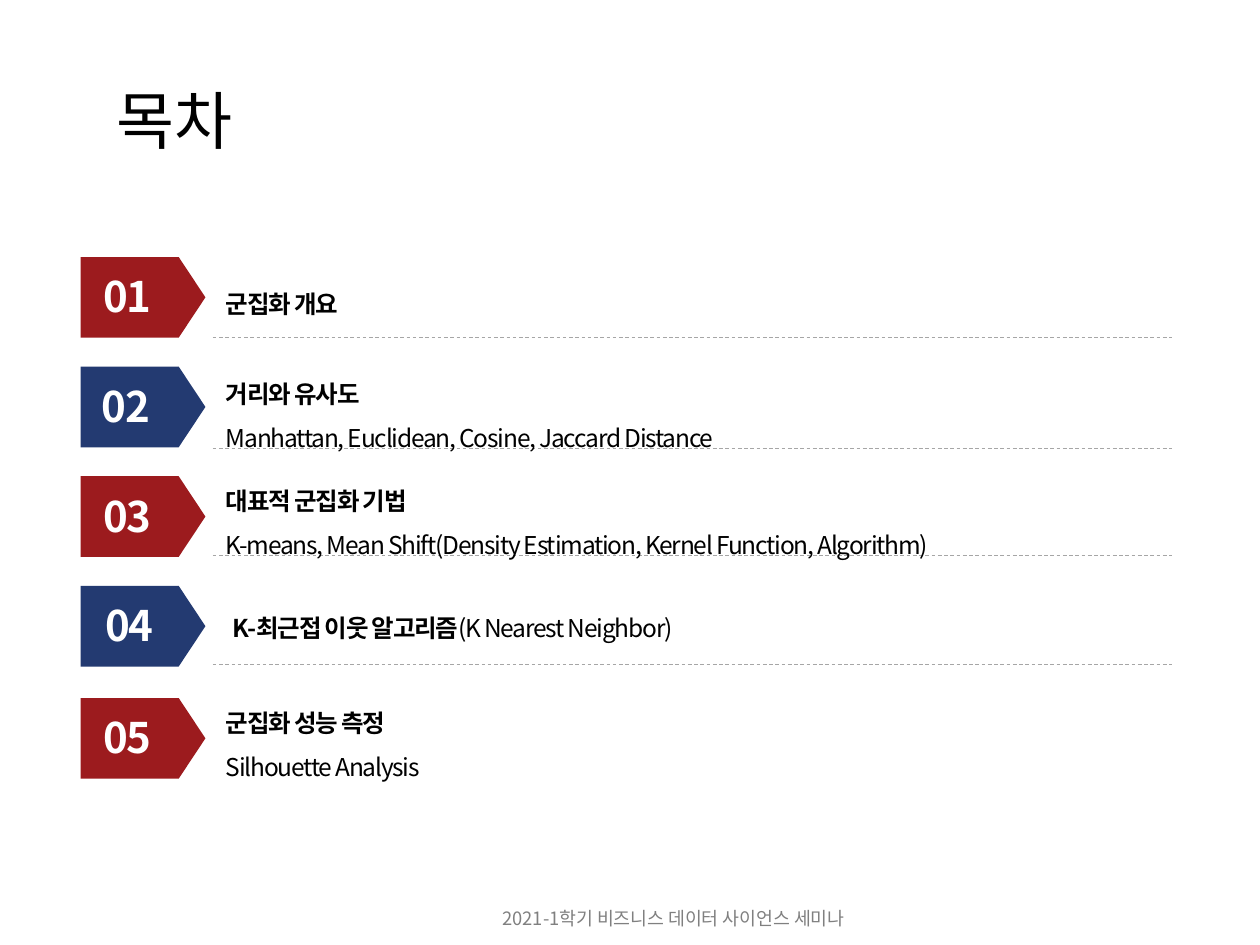
from pptx import Presentation, util as u
from pptx.dml.color import RGBColor
from pptx.enum import dml, shapes, text
from pptx.oxml.ns import qn
from lxml import etree

# Content
TITLE = "목차"
FOOTER = "2021-1학기 비즈니스 데이터 사이언스 세미나"
FONT = "Noto Sans CJK KR"
COLORS = {"red": "9C1B1E", "blue": "233A71", "rule": "A6A6A6",
          "black": "000000", "white": "FFFFFF", "grey": "808080"}

# Each paragraph is a list of (wording, bold) spans
CHAPTERS = [
    {"number": (0.69, 0.64), "box": (1.46, 2.13, 7.65, 0.45), "rule": 2.68,
     "lines": [[(" 군집화 개요", True)]]},
    {"number": (0.66, 0.68), "box": (1.46, 2.84, 7.65, 0.81), "rule": 3.56,
     "lines": [[(" 거리와 유사도", True)],
               [(" Manhattan, Euclidean, Cosine, Jaccard Distance", False)]]},
    {"number": (0.66, 0.70), "box": (1.46, 3.69, 7.84, 0.81), "rule": 4.41,
     "lines": [[(" 대표적 군집화 기법", True)],
               [(" K-means, Mean Shift(Density Estimation, Kernel Function, Algorithm)", False)]]},
    {"number": (0.67, 0.71), "box": (1.55, 4.70, 7.65, 0.41), "rule": 5.27,
     "lines": [[("K-최근접 이웃 알고리즘", True), ("(K Nearest Neighbor)", False)]]},
    {"number": (0.66, 0.70), "box": (1.46, 5.45, 7.84, 0.76), "rule": None,
     "lines": [[(" 군집화 성능 측정", True)], [(" Silhouette Analysis", False)]]},
]

# Grid, in inches
TAG_LEFT, TAG_WIDTH, TAG_HEIGHT = 0.64, 0.99, 0.64
FIRST_TOP, ROW_STEP, LAST_EXTRA = 2.04, 0.87, 0.02
NUMBER_INSET, NUMBER_HEIGHT = 0.06, 0.5
RULE_LEFT, RULE_RIGHT = 1.69, 9.3

deck = Presentation()
deck.slide_width, deck.slide_height = u.Inches(10), u.Inches(7.5)
page = deck.slides.add_slide(deck.slide_layouts[6])


def color(name):
    return RGBColor.from_string(COLORS[name])


def style(span, size, shade, bold=False, tight=False):
    span.font.size, span.font.name, span.font.bold = u.Pt(size), FONT, bold
    span.font.color.rgb = color(shade)
    props = span.font._element
    etree.SubElement(props, qn("a:ea")).set("typeface", FONT)
    if tight:
        props.set("spc", "-70")


def add_box(place, wrap=True):
    box = page.shapes.add_textbox(*map(u.Inches, place))
    box.text_frame.word_wrap = wrap
    box.text_frame.auto_size = text.MSO_AUTO_SIZE.SHAPE_TO_FIT_TEXT
    return box.text_frame


def add_label(place, wording, size, shade):
    frame = add_box(place, wrap=False)
    frame.text = wording
    style(frame.paragraphs[0].runs[0], size, shade)


def add_block(kind, place, shade):
    block = page.shapes.add_shape(kind, *map(u.Inches, place))
    block.shadow.inherit = False
    block.fill.solid()
    block.fill.fore_color.rgb = color(shade)
    block.line.fill.background()
    return block


def add_tag(index, number):
    shade = ("red", "blue")[index % 2]
    top = FIRST_TOP + index * ROW_STEP
    if index == len(CHAPTERS) - 1:
        top += LAST_EXTRA
    arrow = add_block(shapes.MSO_SHAPE.PENTAGON,
                      (TAG_LEFT, top, TAG_WIDTH, TAG_HEIGHT), shade)
    arrow.adjustments[0] = 0.331
    left, width = number
    block = add_block(shapes.MSO_SHAPE.RECTANGLE,
                      (left, top + NUMBER_INSET, width, NUMBER_HEIGHT), shade)
    frame = block.text_frame
    frame.word_wrap = True
    frame.vertical_anchor = text.MSO_ANCHOR.MIDDLE
    frame.text = f"{index + 1:02d}"
    para = frame.paragraphs[0]
    para.alignment = text.PP_ALIGN.CENTER
    style(para.runs[0], 24, "white", bold=True, tight=True)


def add_rule(top):
    rule = page.shapes.add_connector(
        shapes.MSO_CONNECTOR.STRAIGHT,
        *map(u.Inches, (RULE_LEFT, top, RULE_RIGHT, top)))
    rule.line.color.rgb = color("rule")
    rule.line.width = u.Pt(0.5)
    rule.line.dash_style = dml.MSO_LINE.DASH
    etree.SubElement(rule._element.spPr, qn("a:effectLst"))


def add_lines(place, lines):
    frame = add_box(place)
    for index, spans in enumerate(lines):
        para = frame.add_paragraph() if index else frame.paragraphs[0]
        para.line_spacing = 1.5
        props = para._p.get_or_add_pPr()
        props.set("marL", str(u.Inches(0.2)))
        props.set("indent", "0")
        for wording, bold in spans:
            span = para.add_run()
            span.text = wording
            style(span, 14, "black", bold, tight=True)


# Title, chapters and footer
add_label((0.83, 0.6, 1.15, 0.71), TITLE, 36, "black")
for index, chapter in enumerate(CHAPTERS):
    add_tag(index, chapter["number"])
    if chapter["rule"]:
        add_rule(chapter["rule"])
    add_lines(chapter["box"], chapter["lines"])
add_label((3.89, 7.15, 3.3, 0.28), FOOTER, 10.5, "grey")

deck.save("out.pptx")
